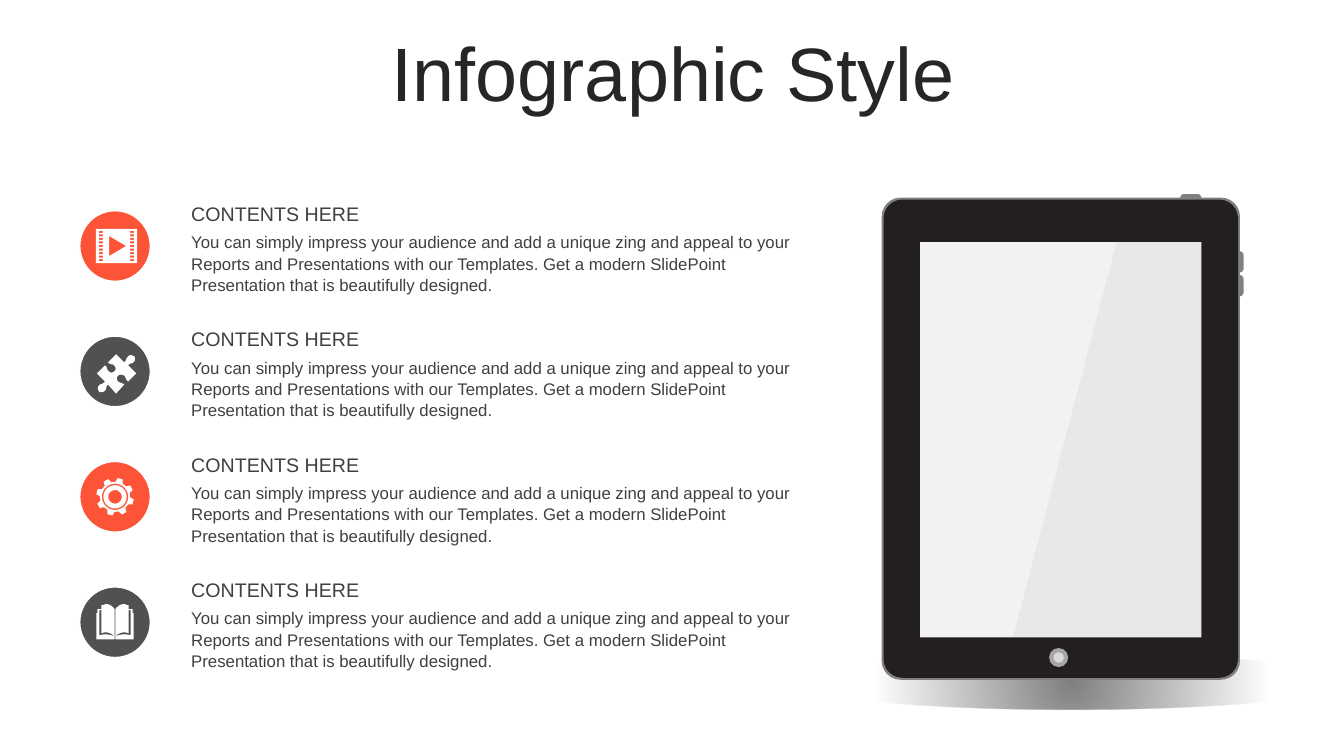
import math
from typing import NamedTuple

import pptx
import pptx.dml.color
import pptx.enum.shapes
import pptx.enum.text
import pptx.oxml
import pptx.oxml.ns
import pptx.util
from pptx.util import Cm

RGBColor = pptx.dml.color.RGBColor
Preset = pptx.enum.shapes.MSO_SHAPE

WHITE = RGBColor(0xFF, 0xFF, 0xFF)
ORANGE = RGBColor(0xFD, 0x29, 0x06)
DARK = RGBColor(0x26, 0x26, 0x26)
TEXT = RGBColor(0x40, 0x40, 0x40)
EDGE = RGBColor(0x80, 0x80, 0x80)
CASE = RGBColor(0x23, 0x1F, 0x20)
SCREEN = RGBColor(0xF2, 0xF2, 0xF2)
GLARE = RGBColor(0x99, 0x99, 0x99)
BUTTON_RING = RGBColor(0xA6, 0xA6, 0xA6)
BUTTON = RGBColor(0xD9, 0xD9, 0xD9)

FONT = "Arial"
HEADING = "CONTENTS HERE"
BODY = ("You can simply impress your audience and add a unique zing and appeal to your "
        "Reports and Presentations with our Templates. Get a modern SlidePoint "
        "Presentation that is beautifully designed.")
ICON_UNIT = Cm(2.54) / 100
CIRCLE_X, FIRST_Y, PITCH, DIAMETER = 2.9, 6.2, 3.16, 1.78

Contour = list[tuple[float, ...]]


class Part(NamedTuple):
    """A piece of the tablet, in centimetres."""
    preset: Preset
    left: float
    top: float
    width: float
    height: float
    color: RGBColor
    radius: float = 0


class Topic(NamedTuple):
    color: RGBColor
    icon: list[Contour]


TABLET = [
    Part(Preset.ROUNDED_RECTANGLE, 29.74, 4.89, 0.54, 0.2, EDGE, 0.1),
    Part(Preset.ROUNDED_RECTANGLE, 31.14, 6.33, 0.2, 0.54, EDGE, 0.1),
    Part(Preset.ROUNDED_RECTANGLE, 31.14, 6.93, 0.2, 0.54, EDGE, 0.1),
    Part(Preset.ROUNDED_RECTANGLE, 22.22, 4.98, 9.03, 12.15, EDGE, 0.48),
    Part(Preset.ROUNDED_RECTANGLE, 22.27, 5.03, 8.93, 12.05, CASE, 0.47),
    Part(Preset.RECTANGLE, 23.19, 6.1, 7.09, 9.96, SCREEN),
    Part(Preset.OVAL, 26.44, 16.33, 0.48, 0.48, BUTTON_RING),
    Part(Preset.OVAL, 26.55, 16.44, 0.26, 0.26, BUTTON),
]


def box_contour(left: float, top: float, right: float, bottom: float) -> Contour:
    return [(left, top), (right, top), (right, bottom), (left, bottom)]


def polar(radius: float, degrees: float) -> tuple[float, float]:
    angle = math.radians(degrees)
    return radius * math.sin(angle), -radius * math.cos(angle)


def film_icon() -> list[Contour]:
    holes = [box_contour(left, -15 + 3.5 * row, left + 4, -13 + 3.5 * row)
             for row in range(9) for left in (-16, 15)]
    return [box_contour(-19, -17, 22, 17), [(-6, -10), (-6, 10), (11, 0)], *holes]


def gear_icon() -> list[Contour]:
    tooth = [(15, -14), (18.8, -8), (18.8, 8), (15, 14)]
    rim = [polar(radius, 16 + 45 * index + turn) for index in range(8) for radius, turn in tooth]
    rings = [[polar(radius, 6 * step) for step in range(60)] for radius in (13, 11.5, 6.7)]
    return [rim, *rings]


def book_icon() -> list[Contour]:
    half = [
        [(-0.3, -13), (-2.5, -16, -5.5, -18, -8.5, -18), (-10.5, -18, -11.5, -17, -13.5, -17),
         (-13.5, -13), (-17.5, -13), (-17.5, -9), (-18.5, -9), (-18.5, 17), (-0.3, 17)],
        [(-0.3, 14), (-4.5, 10, -9.5, 9, -13.5, 11), (-13.5, -12), (-15.5, -12),
         (-15.5, 13), (-9.5, 11, -5.5, 12, -0.3, 14)],
    ]
    mirrored = [[tuple(-value if index % 2 == 0 else value for index, value in enumerate(step))
                 for step in contour] for contour in half]
    return half + mirrored


PUZZLE: list[Contour] = [[
    (19, -15), (20, -14, 20, -11, 19, -10), (17, -7, 15, -9, 13, -6), (21, 2), (13, 10),
    (10, 8, 11, 6, 9, 4), (7, 3, 5, 3, 3, 4), (2, 5, 1, 8, 3, 10), (6, 12, 7, 11, 9, 13),
    (1, 22), (-7, 13), (-10, 16, -8, 17, -10, 19), (-12, 21, -15, 21, -16, 20),
    (-17, 18, -18, 16, -16, 14), (-15, 12, -12, 13, -10, 10), (-18, 2), (-10, -6),
    (-7, -4, -9, -2, -6, 0), (-4, 2, -2, 1, -1, 0), (1, -1, 1, -4, -1, -6),
    (-3, -8, -4, -6, -7, -9), (1, -17), (9, -9), (12, -12, 10, -12, 13, -15),
    (15, -17, 17, -16, 19, -15),
]]

TOPICS = [Topic(ORANGE, film_icon()), Topic(DARK, PUZZLE),
          Topic(ORANGE, gear_icon()), Topic(DARK, book_icon())]


def flatten(contour: Contour) -> list[tuple[float, float]]:
    """Turn two-number steps into points and six-number steps into sampled Bezier curves."""
    points = []
    for step in contour:
        if len(step) == 2:
            points.append(step)
            continue
        controls = [points[-1], step[:2], step[2:4], step[4:]]
        for t in (0.125 * index for index in range(1, 9)):
            weights = ((1 - t) ** 3, 3 * t * (1 - t) ** 2, 3 * t * t * (1 - t), t ** 3)
            points.append(tuple(sum(weight * control[axis] for weight, control in
                                    zip(weights, controls)) for axis in (0, 1)))
    return points


def paint(shape, color: RGBColor, opacity: int = 100) -> None:
    shape.shadow.inherit = False
    shape.fill.solid()
    shape.fill.fore_color.rgb = color
    shape.line.fill.background()
    if opacity < 100:
        for tone in shape.element.spPr.iter(pptx.oxml.ns.qn("a:srgbClr")):
            alpha = tone.makeelement(pptx.oxml.ns.qn("a:alpha"), {"val": str(opacity * 1000)})
            tone.append(alpha)


def draw_outline(page, contours: list[Contour], unit: float, x: int, y: int):
    outlines = [[(px * unit, py * unit) for px, py in flatten(contour)] for contour in contours]
    builder = page.shapes.build_freeform(*outlines[0][0])
    builder.add_line_segments(outlines[0][1:], close=True)
    for outline in outlines[1:]:
        builder.move_to(*outline[0])
        builder.add_line_segments(outline[1:], close=True)
    return builder.convert_to_shape(x, y)


def draw_part(page, part: Part):
    shape = page.shapes.add_shape(part.preset, Cm(part.left), Cm(part.top),
                                  Cm(part.width), Cm(part.height))
    if part.radius:
        shape.adjustments[0] = part.radius / min(part.width, part.height)
    paint(shape, part.color)
    return shape


def draw_floor_shadow(page) -> None:
    shadow = draw_part(page, Part(Preset.OVAL, 19.94, 16.46, 14.12, 1.41, EDGE))
    stops = "".join(f'<a:gs pos="{place}"><a:srgbClr val="{EDGE}"><a:alpha val="{alpha}"/>'
                    "</a:srgbClr></a:gs>" for place, alpha in ((0, 100000), (70000, 0), (100000, 0)))
    gradient = pptx.oxml.parse_xml(
        f'<a:gradFill {pptx.oxml.ns.nsdecls("a")}><a:gsLst>{stops}</a:gsLst><a:path path="circle">'
        '<a:fillToRect l="50000" t="50000" r="50000" b="50000"/></a:path></a:gradFill>')
    solid = shadow.element.spPr.find(pptx.oxml.ns.qn("a:solidFill"))
    shadow.element.spPr.replace(solid, gradient)


def draw_text(page, text: str, top: float, height: float, size: int) -> None:
    box = page.shapes.add_textbox(Cm(4.57), Cm(top), Cm(15.65), Cm(height))
    box.text_frame.word_wrap = True
    para = box.text_frame.paragraphs[0]
    para.text = text
    para.line_spacing = 1.06
    para.font.size, para.font.name = pptx.util.Pt(size), FONT
    para.font.color.rgb = TEXT


def draw_topic(page, topic: Topic, center: float) -> None:
    circle = draw_part(page, Part(Preset.OVAL, CIRCLE_X - DIAMETER / 2, center - DIAMETER / 2,
                                  DIAMETER, DIAMETER, topic.color))
    paint(circle, topic.color, 80)
    circle.line.color.rgb = WHITE
    circle.line.width = pptx.util.Pt(1)
    paint(draw_outline(page, topic.icon, ICON_UNIT, Cm(CIRCLE_X), Cm(center)), WHITE)
    draw_text(page, HEADING, center - 1.27, 0.86, 14)
    draw_text(page, BODY, center - 0.51, 1.8, 12)


def draw_title(page) -> None:
    title = page.shapes.title
    title.left, title.top, title.width, title.height = Cm(0.89), Cm(0.94), Cm(32.16), Cm(2.01)
    title.text_frame.vertical_anchor = pptx.enum.text.MSO_ANCHOR.MIDDLE
    para = title.text_frame.paragraphs[0]
    para.text = "Infographic Style"
    para.alignment = pptx.enum.text.PP_ALIGN.CENTER
    para.line_spacing = 0.9
    para.font.size, para.font.name = pptx.util.Pt(54), FONT
    para.font.color.rgb = DARK


def main() -> None:
    deck = pptx.Presentation()
    deck.slide_width, deck.slide_height = Cm(33.87), Cm(19.05)
    page = deck.slides.add_slide(deck.slide_layouts[5])
    draw_title(page)
    draw_floor_shadow(page)
    for part in TABLET:
        draw_part(page, part)
    glare = [(28.14, 6.1), (30.28, 6.1), (30.28, 16.06), (25.53, 16.06)]
    paint(draw_outline(page, [glare], Cm(1), 0, 0), GLARE, 10)
    for index, topic in enumerate(TOPICS):
        draw_topic(page, topic, FIRST_Y + PITCH * index)
    deck.save("out.pptx")


if __name__ == "__main__":
    main()
